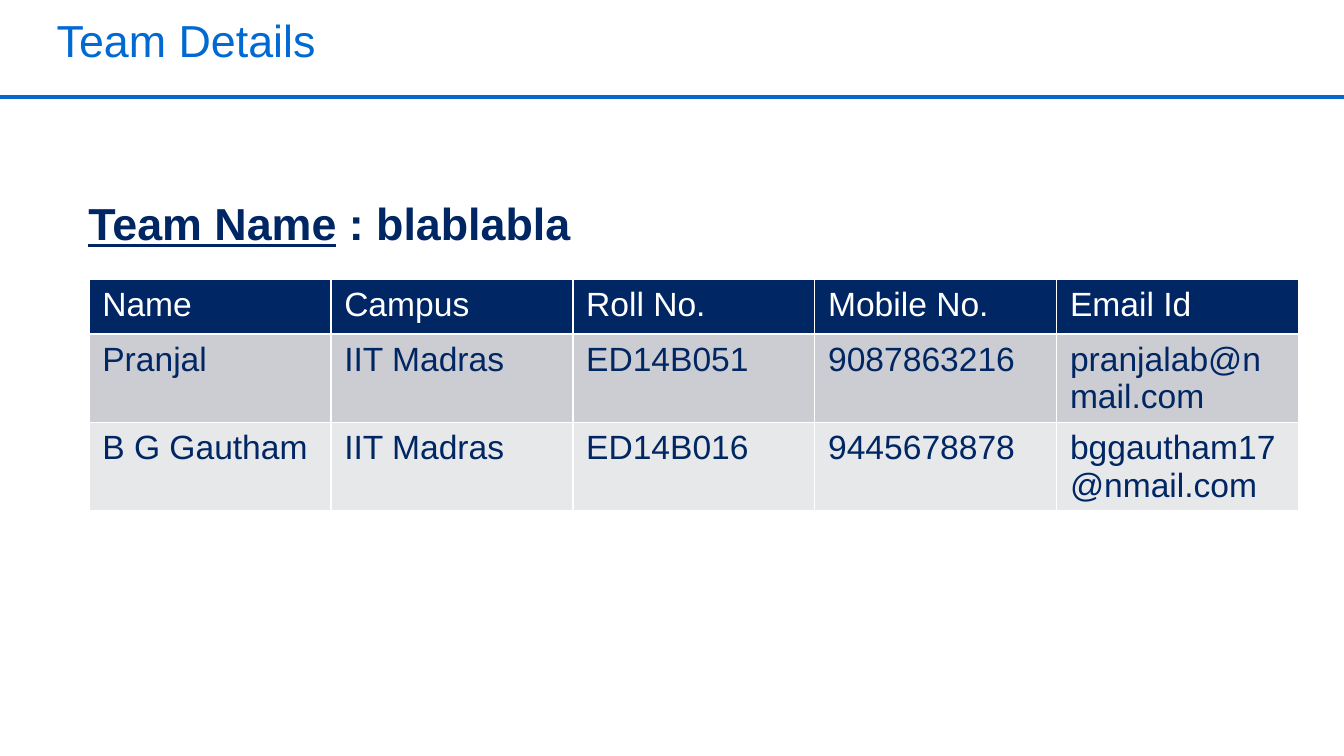
from lxml.etree import SubElement
from pptx import Presentation
from pptx.dml.color import RGBColor
from pptx.enum.shapes import MSO_CONNECTOR
from pptx.enum.text import MSO_ANCHOR, PP_ALIGN
from pptx.oxml.ns import qn
from pptx.util import Cm, Pt

NAVY, BLUE, LINE_BLUE, WHITE = "002663", "006AD2", "0968CE", "FFFFFF"
ROW_FILLS = ("E7E8EA", "CCCDD3")
MEMBERS = [
    ("Name", "Campus", "Roll No.", "Mobile No.", "Email Id"),
    ("Pranjal", "IIT Madras", "ED14B051", "9087863216", "pranjalab@nmail.com"),
    ("B G Gautham", "IIT Madras", "ED14B016", "9445678878", "bggautham17@nmail.com"),
]


def paint(target, color):
    """Give a font or line a solid colour from a hex string."""
    target.fill.solid()
    target.fill.fore_color.rgb = RGBColor.from_string(color)


def style_font(font, size, color, bold=False):
    """Set the typeface, size, colour and weight of a font."""
    font.name = "Arial"
    font.size = Pt(size)
    font.bold = bold
    paint(font, color)


def place_title(page, left, top, width, height):
    """Put the heading in the title placeholder."""
    title = page.shapes.title
    title.left, title.top, title.width, title.height = left, top, width, height
    frame = title.text_frame
    frame.margin_left = frame.margin_right = frame.margin_top = frame.margin_bottom = 0
    frame.vertical_anchor = MSO_ANCHOR.TOP
    frame.text = "Team Details"
    para = frame.paragraphs[0]
    para.alignment = PP_ALIGN.LEFT
    para.line_spacing = 0.82
    style_font(para.font, 24, BLUE)


def place_rule(page, left, top, width):
    """Draw the horizontal rule below the heading."""
    rule = page.shapes.add_connector(MSO_CONNECTOR.STRAIGHT, left, top, left + width, top)
    rule.line.width = Pt(2)
    paint(rule.line, LINE_BLUE)
    SubElement(rule._element.spPr, qn("a:effectLst"))


def place_team_name(page, left, top, width, height):
    """Write the team name with its label underlined."""
    box = page.shapes.add_textbox(left, top, width, height)
    box.text_frame.word_wrap = True
    para = box.text_frame.paragraphs[0]
    style_font(para.font, 24, NAVY, bold=True)
    for text, underline in (("Team Name", True), (" : blablabla", False)):
        span = para.add_run()
        span.text = text
        span.font.underline = underline


def place_members(page, left, top, width, height):
    """Fill the member table with equal columns and banded rows."""
    table = page.shapes.add_table(
        len(MEMBERS), len(MEMBERS[0]), left, top, width, height
    ).table
    for row, values in enumerate(MEMBERS):
        for column, value in enumerate(values):
            cell = table.cell(row, column)
            cell.text = value
            paint(cell, ROW_FILLS[row % 2] if row else NAVY)
            style_font(cell.text_frame.paragraphs[0].font, 18, NAVY if row else WHITE)


def main():
    """Build and save the team details slide."""
    deck = Presentation()
    deck.slide_width, deck.slide_height = Cm(25.4), Cm(14.29)
    page = deck.slides.add_slide(deck.slide_layouts[5])
    place_title(page, Cm(1.07), Cm(0.43), Cm(22.86), Cm(2.08))
    place_rule(page, Cm(0), Cm(1.83), deck.slide_width)
    place_members(page, Cm(1.68), Cm(5.28), Cm(22.86), Cm(3.09))
    place_team_name(page, Cm(1.42), Cm(3.58), Cm(10.03), Cm(1.27))
    deck.save("out.pptx")


if __name__ == "__main__":
    main()
